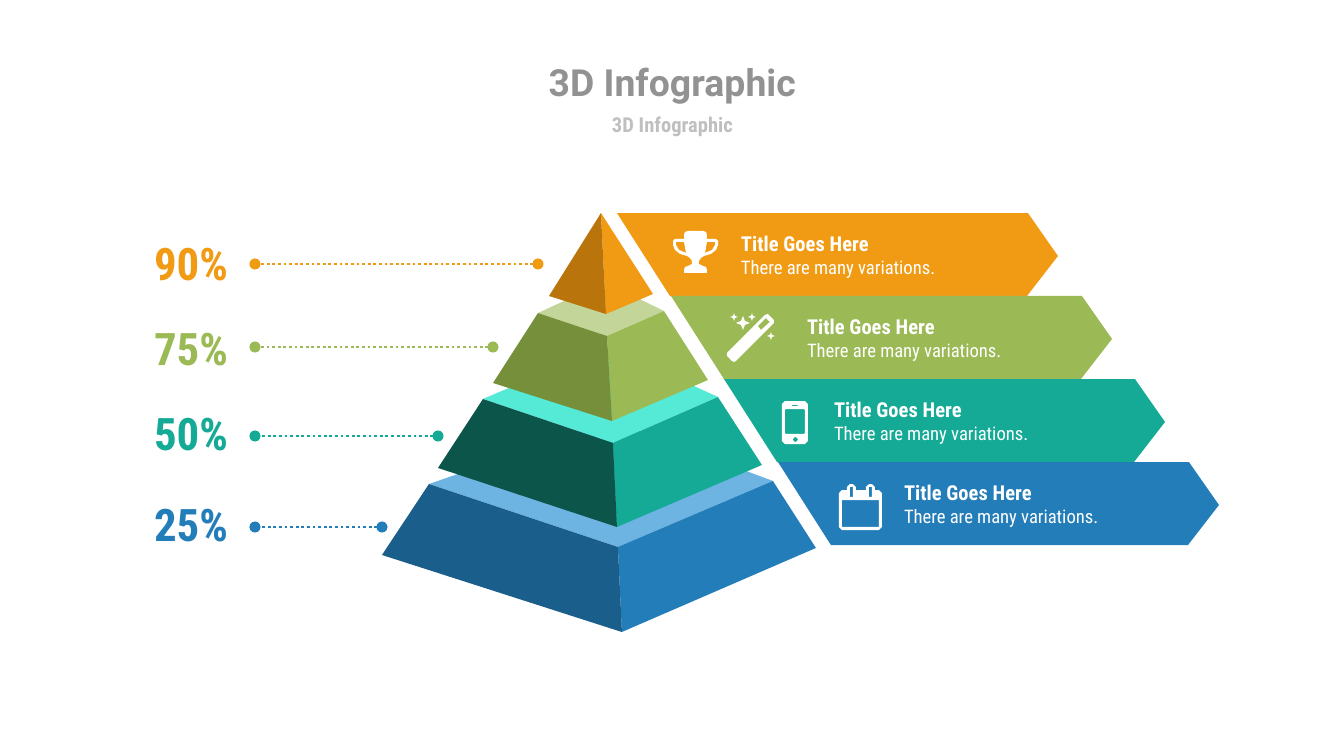
from lxml.etree import SubElement
from pptx import Presentation
from pptx.dml.color import RGBColor
from pptx.enum.dml import MSO_LINE
from pptx.enum.shapes import MSO_CONNECTOR
from pptx.enum.text import MSO_ANCHOR, PP_ALIGN
from pptx.oxml.ns import qn
from pptx.util import Pt

PX = 6804
CONDENSED = "Roboto Condensed"
COLORS = {
    "title": "929292", "subtitle": "BFBFBF", "white": "FFFFFF",
    "orange": "F19B14", "orange dark": "B9750B",
    "green": "9BB955", "green dark": "768F3B", "green light": "C3D599",
    "teal": "15AA96", "teal dark": "0B554B", "teal light": "55EAD6",
    "blue": "237DB9", "blue dark": "1A5E8B", "blue light": "6DB4E3",
}

presentation = Presentation()
presentation.slide_width = 1344 * PX
presentation.slide_height = 756 * PX
slide = presentation.slides.add_slide(presentation.slide_layouts[6])


def add_outline(contours, color):
    builder = slide.shapes.build_freeform(*contours[0][0], scale=PX)
    builder.add_line_segments(contours[0][1:], close=True)
    for contour in contours[1:]:
        builder.move_to(*contour[0])
        builder.add_line_segments(contour[1:], close=True)
    shape = builder.convert_to_shape()
    shape.shadow.inherit = False
    shape.fill.solid()
    shape.fill.fore_color.rgb = RGBColor.from_string(COLORS[color])
    shape.line.fill.background()


def add_text(box, lines, color, align, anchor, inset=(0, 0)):
    shape = slide.shapes.add_textbox(*[length * PX for length in box])
    frame = shape.text_frame
    frame.word_wrap = True
    frame.vertical_anchor = anchor
    frame.margin_left = frame.margin_right = inset[0] * PX
    frame.margin_top = frame.margin_bottom = inset[1] * PX
    for index, (text, size, font, bold) in enumerate(lines):
        paragraph = frame.add_paragraph() if index else frame.paragraphs[0]
        paragraph.alignment = align
        run = paragraph.add_run()
        run.text = text
        run.font.size = Pt(size)
        run.font.name = font
        run.font.bold = bold
        run.font.color.rgb = RGBColor.from_string(COLORS[color])


add_text((258, 56, 829, 52), [("3D Infographic", 20, "Roboto", True)],
         "title", PP_ALIGN.CENTER, MSO_ANCHOR.MIDDLE)
add_text((370, 109, 605, 30), [("3D Infographic", 11, CONDENSED, True)],
         "subtitle", PP_ALIGN.CENTER, MSO_ANCHOR.MIDDLE)

rows = [
    ("orange", "90%", 235, 264, 538, 728),
    ("green", "75%", 321, 347, 493, 794),
    ("teal", "50%", 406, 436, 438, 821),
    ("blue", "25%", 497, 527, 382, 891),
]
for index, (color, percent, percent_top, line_y, line_end, text_left) in enumerate(rows):
    left = 617 + round(53.6 * index)
    top = 213 + 83 * index
    add_outline([[(left, top), (left + 411, top), (left + 441, top + 43),
                  (left + 410, top + 83), (left + 53, top + 83)]], color)
    add_text((text_left, top + 11, 312, 60),
             [("Title Goes Here", 11, CONDENSED, True),
              ("There are many variations.", 10, CONDENSED, False)],
             "white", PP_ALIGN.LEFT, MSO_ANCHOR.TOP, (13, 7))
    add_text((146, percent_top, 90, 54), [(percent, 24, CONDENSED, True)],
             color, PP_ALIGN.CENTER, MSO_ANCHOR.MIDDLE)
    connector = slide.shapes.add_connector(
        MSO_CONNECTOR.STRAIGHT, line_end * PX, line_y * PX, 255 * PX, line_y * PX)
    connector.line.color.rgb = RGBColor.from_string(COLORS[color])
    connector.line.width = Pt(1.5)
    connector.line.dash_style = MSO_LINE.ROUND_DOT
    line_element = connector.line._get_or_add_ln()
    for end in ("a:headEnd", "a:tailEnd"):
        SubElement(line_element, qn(end), type="oval")
    SubElement(connector._element.spPr, qn("a:effectLst"))

tiers = [
    ("blue", (612, 421), (429, 484), (618, 547), (773, 481),
     (382, 555), (622, 632), (816, 548)),
    ("teal", (607, 347), (483, 399), (613, 443), (718, 397),
     (438, 468), (617, 527), (762, 465)),
    ("green", (605, 282), (538, 313), (607, 336), (664, 311),
     (493, 383), (612, 421), (708, 380)),
]
for color, back, left, front, right, base_left, base_front, base_right in tiers:
    add_outline([[back, right, front, left]], color + " light")
    add_outline([[front, right, base_right, base_front]], color)
    add_outline([[left, front, base_front, base_left]], color + " dark")
add_outline([[(601, 213), (653, 294), (606, 314)]], "orange")
add_outline([[(601, 213), (606, 314), (549, 296)]], "orange dark")

cup_half = [(688, 231), (685, 232), (684, 235), (684, 239), (675, 239), (673, 241),
            (673, 245), (675, 250), (680, 254), (687, 256), (690, 258), (692, 261),
            (692, 264), (688, 266), (685, 267), (684, 270), (684, 273)]
handle = [(684, 242), (676, 242), (676, 245), (679, 250), (686, 253)]
cup = cup_half + [(1391 - x, y) for x, y in reversed(cup_half)]
add_outline([cup, handle, [(1391 - x, y) for x, y in handle]], "white")

wand = [
    [(774, 323), (736, 361), (734, 362), (732, 361), (727, 356), (727, 353),
     (765, 315), (768, 314), (774, 320)],
    [(770, 322), (766, 318), (758, 326), (761, 330)],
]
for x, y, radius, waist in [(734, 317, 4, 1), (743, 323, 7, 2),
                            (752, 317, 4, 1), (771, 336, 4, 1)]:
    wand.append([(x, y - radius), (x + waist, y - waist), (x + radius, y),
                 (x + waist, y + waist), (x, y + radius), (x - waist, y + waist),
                 (x - radius, y), (x - waist, y - waist)])
add_outline(wand, "white")

phone = []
for left, top, right, bottom, corner in [(782, 401, 808, 444, 3), (785, 409, 805, 434, 1),
                                         (792, 405, 798, 406, 0), (793, 437, 798, 442, 2)]:
    phone.append([(left + corner, top), (right - corner, top), (right, top + corner),
                  (right, bottom - corner), (right - corner, bottom),
                  (left + corner, bottom), (left, bottom - corner), (left, top + corner)])
add_outline(phone, "white")

calendar_edge = [(839, 493), (842, 490)]
calendar_holes = [[(842, 500), (879, 500), (879, 527), (842, 527)]]
for left in (847, 866):
    calendar_edge += [(left, 490), (left, 487), (left + 3, 484), (left + 6, 484),
                      (left + 9, 487), (left + 9, 490)]
    calendar_holes.append([(left + 3, 487), (left + 6, 487),
                           (left + 6, 497), (left + 3, 497)])
calendar_edge += [(879, 490), (882, 493), (882, 527), (879, 530), (842, 530), (839, 527)]
add_outline([calendar_edge] + calendar_holes, "white")

presentation.save("out.pptx")
